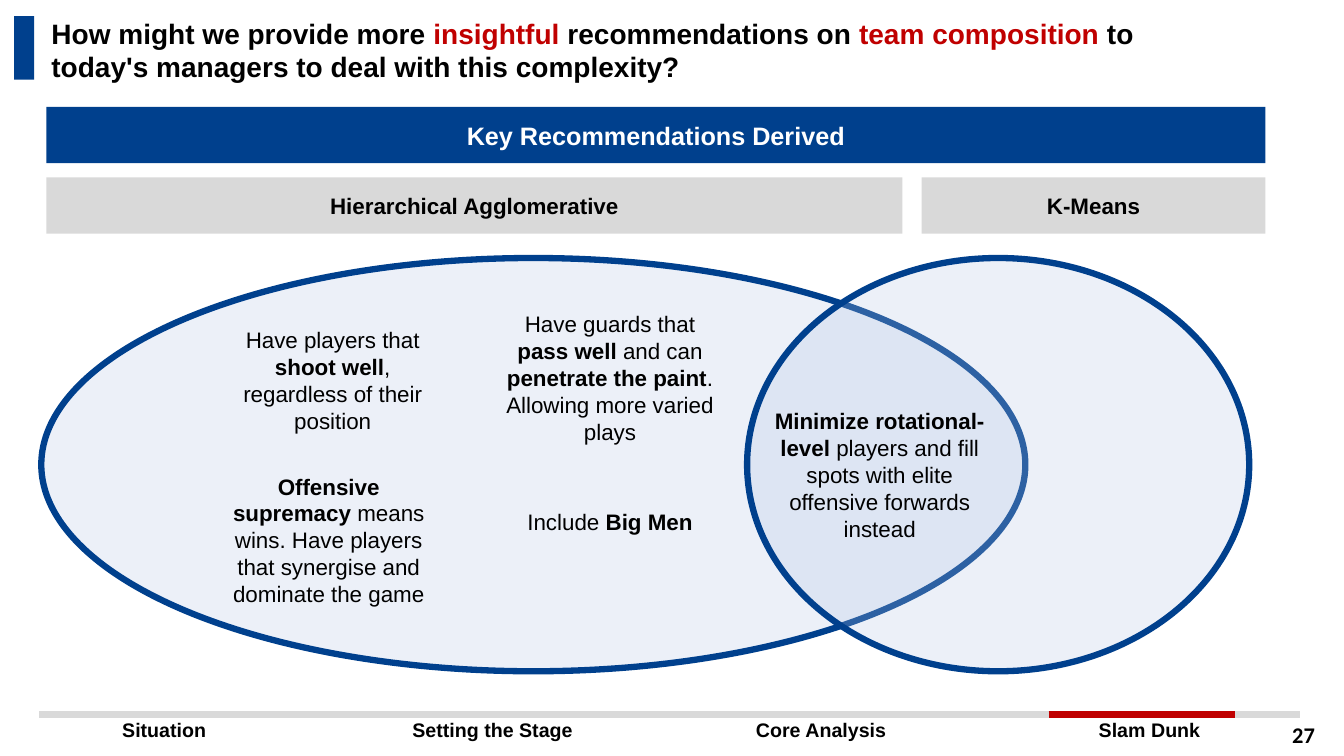
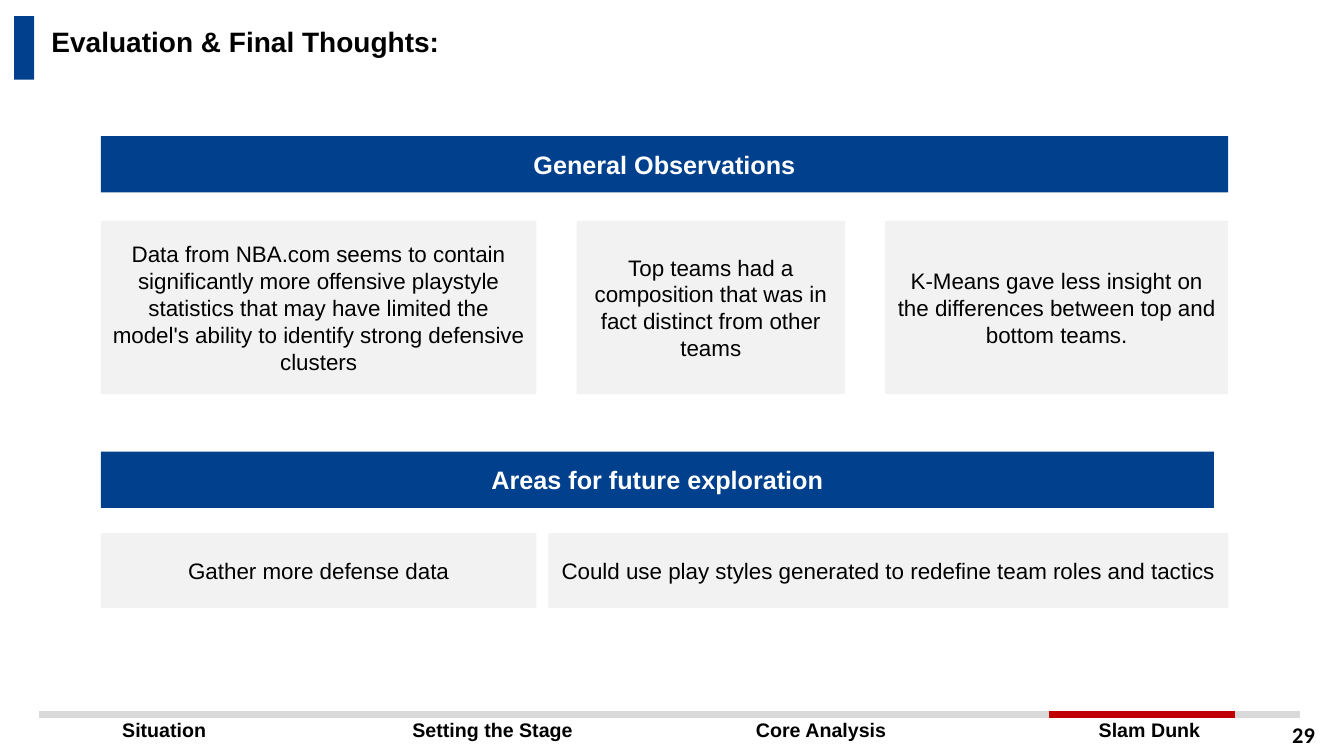
from dataclasses import dataclass

from lxml import etree
from pptx import Presentation
from pptx.dml.color import RGBColor
from pptx.enum.shapes import MSO_CONNECTOR, MSO_SHAPE
from pptx.enum.text import MSO_ANCHOR, MSO_AUTO_SIZE, PP_ALIGN
from pptx.oxml.ns import qn
from pptx.util import Inches, Pt

RECTANGLE, ELLIPSE = MSO_SHAPE.RECTANGLE, MSO_SHAPE.OVAL
STRAIGHT = MSO_CONNECTOR.STRAIGHT
LEFT, CENTER, RIGHT = PP_ALIGN.LEFT, PP_ALIGN.CENTER, PP_ALIGN.RIGHT
TOP, MIDDLE = MSO_ANCHOR.TOP, MSO_ANCHOR.MIDDLE
NO_AUTOFIT = MSO_AUTO_SIZE.NONE
TITLE_ONLY = 5


@dataclass(frozen=True)
class Theme:
    font: str = "Arial"
    number_font: str = "Calibri"
    blue: str = "00408D"
    red: str = "C00000"
    black: str = "000000"
    white: str = "FFFFFF"
    grey: str = "D9D9D9"
    pale_grey: str = "F2F2F2"
    pale_blue: str = "B4C7E7"
    title_size: int = 20
    band_size: int = 18
    body_size: int = 16
    stage_size: int = 14
    stroke: float = 4.5
    band_height: float = 0.56
    rule_top: float = 7.09


THEME = Theme()
STAGES = ("Situation", "Setting the Stage", "Core Analysis", "Slam Dunk")


def rgb(color):
    return RGBColor.from_string(color)


class Deck:
    def __init__(self, theme):
        self.theme = theme
        self.presentation = Presentation()
        self.presentation.slide_width = Inches(13.33)
        self.presentation.slide_height = Inches(7.5)
        self.slide = None

    def format_font(self, font, size, color, bold, name=None):
        font.name = name or self.theme.font
        font.size = Pt(size)
        font.bold = bold
        font.color.rgb = rgb(color)

    def fill_text(self, frame, marked_text, size, color=None, bold=False, align=CENTER,
                  anchor=MIDDLE, accent=None, name=None):
        color = color or self.theme.black
        frame.word_wrap = True
        frame.auto_size = NO_AUTOFIT
        frame.vertical_anchor = anchor
        paragraph = frame.paragraphs[0]
        paragraph.alignment = align
        for index, part in enumerate(marked_text.split("*")):
            if part:
                stressed = index % 2 == 1
                run = paragraph.add_run()
                run.text = part
                run_color = accent if stressed and accent else color
                self.format_font(run.font, size, run_color, bold or stressed, name)

    def new_slide(self, title, title_top, title_height, number):
        layout = self.presentation.slide_layouts[TITLE_ONLY]
        self.slide = self.presentation.slides.add_slide(layout)
        heading = self.slide.shapes.title
        heading.left, heading.top = Inches(0.41), Inches(title_top)
        heading.width, heading.height = Inches(11.76), Inches(title_height)
        self.fill_text(heading.text_frame, title, self.theme.title_size, bold=True,
                       align=LEFT, anchor=TOP, accent=self.theme.red)
        self.block(0.14, 0.16, 0.2, 0.63, self.theme.blue)
        self.footer(number)

    def footer(self, number):
        theme = self.theme
        frame = self.slide.shapes.add_table(
            1, len(STAGES), Inches(0), Inches(theme.rule_top), Inches(13.03), Inches(0.41))
        tracker = frame.table
        tracker.first_row = tracker.horz_banding = False
        for cell, stage in zip(tracker.rows[0].cells, STAGES):
            cell.fill.background()
            cell.text_frame.text = stage
            paragraph = cell.text_frame.paragraphs[0]
            paragraph.alignment = CENTER
            self.format_font(paragraph.runs[0].font, theme.stage_size, theme.black, True)
        self.rule(0.39, 12.89, theme.grey)
        self.rule(10.4, 12.25, theme.red)
        self.note(10.14, theme.rule_top, 3, 0.4, str(number), bold=True,
                  align=RIGHT, anchor=MIDDLE, name=theme.number_font)

    def rule(self, start, end, color):
        top = Inches(self.theme.rule_top)
        rule = self.slide.shapes.add_connector(STRAIGHT, Inches(start), top, Inches(end), top)
        rule.line.color.rgb = rgb(color)
        rule.line.width = Pt(self.theme.stroke)
        etree.SubElement(rule._element.spPr, qn("a:effectLst"))

    def block(self, left, top, width, height, fill, kind=RECTANGLE):
        block = self.slide.shapes.add_shape(
            kind, Inches(left), Inches(top), Inches(width), Inches(height))
        block.shadow.inherit = False
        block.fill.solid()
        block.fill.fore_color.rgb = rgb(fill)
        block.line.fill.background()
        return block

    def band(self, left, top, width, text):
        band = self.block(left, top, width, self.theme.band_height, self.theme.blue)
        self.fill_text(band.text_frame, text, self.theme.band_size, self.theme.white, bold=True)

    def card_row(self, left, top, height, gap, fill, cards, bold=False):
        for width, text in cards:
            card = self.block(left, top, width, height, fill)
            self.fill_text(card.text_frame, text, self.theme.body_size, bold=bold)
            left += width + gap

    def venn_set(self, left, width):
        oval = self.block(left, 2.56, width, 4.1, self.theme.pale_blue, ELLIPSE)
        tint = oval._element.spPr.find(qn("a:solidFill")).find(qn("a:srgbClr"))
        etree.SubElement(tint, qn("a:alpha"), val="25000")
        oval.line.color.rgb = rgb(self.theme.blue)
        oval.line.width = Pt(self.theme.stroke)

    def note(self, left, top, width, height, text, anchor=TOP, **style):
        note = self.slide.shapes.add_textbox(
            Inches(left), Inches(top), Inches(width), Inches(height))
        self.fill_text(note.text_frame, text, self.theme.body_size, anchor=anchor, **style)


def recommendations(deck):
    deck.new_slide(
        "How might we provide more *insightful* recommendations on *team composition* "
        "to today's managers to deal with this complexity?", 0.11, 0.77, 27)
    deck.band(0.46, 1.06, 12.09, "Key Recommendations Derived")
    deck.card_row(0.46, 1.76, THEME.band_height, 0.19, THEME.grey,
                  ((8.49, "Hierarchical Agglomerative"), (3.41, "K-Means")), bold=True)
    for left, width in ((0.41, 9.76), (7.41, 4.98)):
        deck.venn_set(left, width)
    for left, top, width, height, advice in (
        (7.55, 3.99, 2.35, 1.45, "*Minimize rotational-level *players and "
                                 "fill spots with elite offensive forwards instead"),
        (2.16, 3.19, 2.28, 1.18, "Have players that *shoot well*, regardless of their position"),
        (2.12, 4.64, 2.28, 1.45, "*Offensive supremacy *means wins. Have players "
                                 "that synergise and dominate the game"),
        (4.91, 4.99, 2.28, 0.37, "Include *Big Men*"),
        (4.91, 3.03, 2.28, 1.45, "Have guards that *pass well *and can "
                                 "*penetrate the paint*. Allowing more varied plays"),
    ):
        deck.note(left, top, width, height, advice)


def evaluation(deck):
    deck.new_slide("Evaluation & Final Thoughts:", 0.19, 0.44, 29)
    deck.band(1, 1.35, 11.18, "General Observations")
    deck.card_row(1, 2.19, 1.72, 0.4, THEME.pale_grey, (
        (4.32, "Data from NBA.com seems to contain significantly more offensive playstyle "
               "statistics that may have limited the model's ability to identify strong "
               "defensive clusters"),
        (2.66, "Top teams had a composition that was in fact distinct from other teams"),
        (3.4, "K-Means gave less insight on the differences between top and bottom teams."),
    ))
    deck.band(1, 4.48, 11.04, "Areas for future exploration")
    deck.card_row(1, 5.29, 0.74, 0.12, THEME.pale_grey, (
        (4.32, "Gather more defense data"),
        (6.74, "Could use play styles generated to redefine team roles and tactics"),
    ))


def main():
    deck = Deck(THEME)
    recommendations(deck)
    evaluation(deck)
    deck.presentation.save("out.pptx")


if __name__ == "__main__":
    main()
